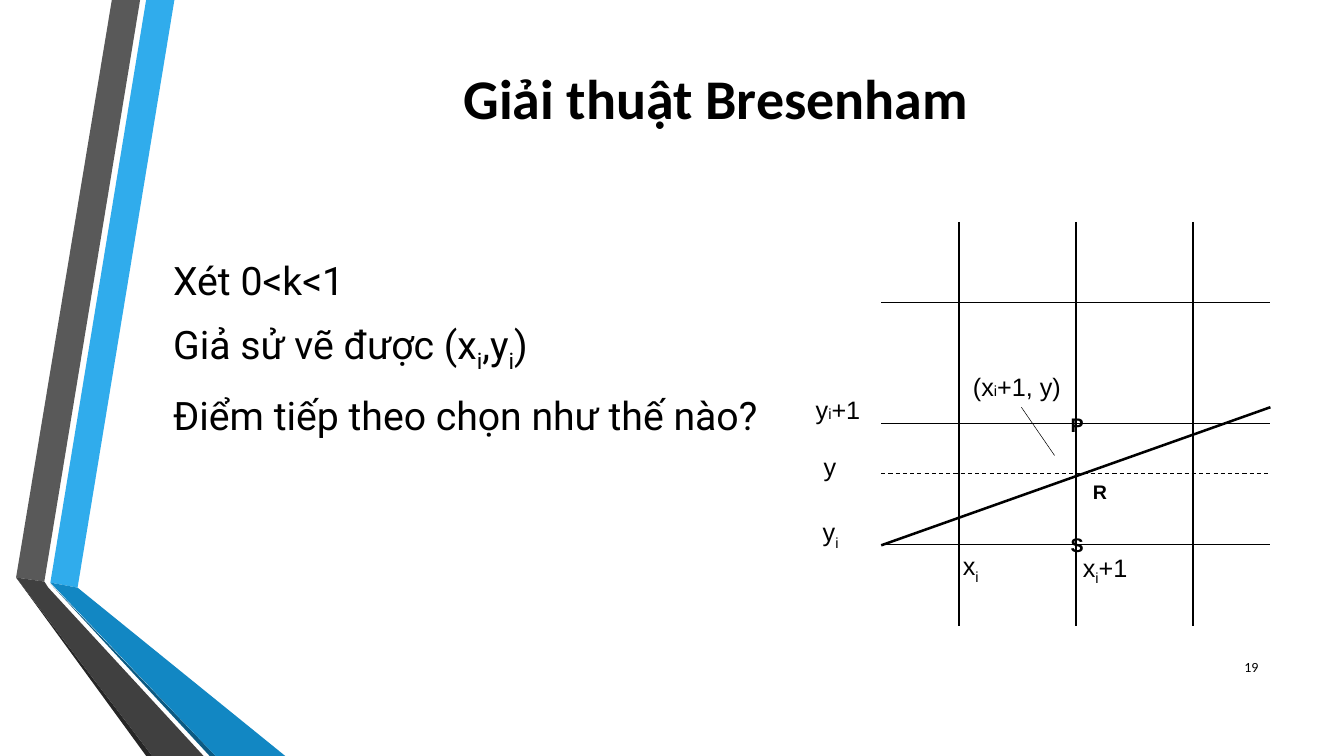
from pptx import Presentation
from pptx.dml.color import RGBColor
from pptx.enum.dml import MSO_LINE
from pptx.enum.shapes import MSO_CONNECTOR
from pptx.enum.text import MSO_ANCHOR, PP_ALIGN
from pptx.oxml.ns import qn
from pptx.util import Inches, Pt
from lxml import etree

BLACK = RGBColor(0x00, 0x00, 0x00)
SKY = RGBColor(0x30, 0xAC, 0xEC)
BLUE = RGBColor(0x12, 0x87, 0xC3)
NAVY = RGBColor(0x0C, 0x5A, 0x82)
GREY = RGBColor(0x59, 0x59, 0x59)
DARK_GREY = RGBColor(0x40, 0x40, 0x40)
CHARCOAL = RGBColor(0x26, 0x26, 0x26)

deck = Presentation()
deck.slide_width, deck.slide_height = Inches(13.33), Inches(7.5)
page = deck.slides.add_slide(deck.slide_layouts[6])


def add_text(left, top, width, height, paragraphs, font, size, bold=False,
             align=PP_ALIGN.LEFT, inset=None, line=None, anchor=MSO_ANCHOR.MIDDLE):
    """Each paragraph is a list of spans: (text, "sub" or a size or None)."""
    box = page.shapes.add_textbox(Inches(left), Inches(top), Inches(width), Inches(height))
    frame = box.text_frame
    frame.word_wrap = True
    frame.vertical_anchor = anchor
    if inset is not None:
        frame.margin_left = frame.margin_right = Inches(inset)
        frame.margin_top = frame.margin_bottom = Inches(inset)
    for index, spans in enumerate(paragraphs):
        para = frame.add_paragraph() if index else frame.paragraphs[0]
        para.alignment = align
        if line:
            para.line_spacing = Pt(line)
        para.font.name, para.font.size, para.font.bold = font, Pt(size), bold
        para.font.color.rgb = BLACK
        for text, style in spans:
            span = para.add_run()
            span.text = text
            if style == "sub":
                span._r.get_or_add_rPr().set("baseline", "-25000")
            elif style:
                span.font.size = Pt(style)
    return frame


def add_line(x1, y1, x2, y2, weight):
    line = page.shapes.add_connector(
        MSO_CONNECTOR.STRAIGHT, Inches(x1), Inches(y1), Inches(x2), Inches(y2))
    line.line.color.rgb = BLACK
    line.line.width = Pt(weight)
    etree.SubElement(line._element.spPr, qn("a:effectLst"))
    return line


# Folded ribbons on the left
ribbons = [
    (SKY, [(0.5, 5.78), (0.77, 5.83), (1.73, 0), (1.45, 0)]),
    (GREY, [(1.39, 0), (1.11, 0), (0.16, 5.73), (0.44, 5.77)]),
    (CHARCOAL, [(0.16, 5.73), (1.45, 7.5), (1.51, 7.5)]),
    (NAVY, [(0.5, 5.79), (2.08, 7.5), (2.14, 7.5)]),
    (BLUE, [(0.5, 5.78), (2.14, 7.5), (2.83, 7.5), (0.77, 5.83)]),
    (DARK_GREY, [(2.02, 7.5), (0.48, 5.83), (0.44, 5.77), (0.16, 5.73), (1.51, 7.5)]),
]
for color, points in ribbons:
    corners = [(Inches(x), Inches(y)) for x, y in points]
    builder = page.shapes.build_freeform(*corners[0])
    builder.add_line_segments(corners[1:])
    ribbon = builder.convert_to_shape()
    ribbon.shadow.inherit = False
    ribbon.fill.solid()
    ribbon.fill.fore_color.rgb = color
    ribbon.line.fill.background()

# Title, page number and body
add_text(1.62, 0, 10.96, 1.92, [[("Giải thuật Bresenham", None)]],
         "Calibri", 40, bold=True, align=PP_ALIGN.CENTER)
add_text(11.98, 6.42, 0.6, 0.4, [[("19", None)]], "Calibri", 10, align=PP_ALIGN.RIGHT)
body = add_text(1.62, 1.16, 9.93, 4.57, [
    [("Xét 0<k<1", None)],
    [("Giả sử vẽ được (x", None), ("i", "sub"), (",y", None), ("i", "sub"), (")", None)],
    [("Điểm tiếp theo chọn như thế nào?", None)],
], "Roboto", 28)
for para in body.paragraphs[1:]:
    para.space_before = Pt(12.5)

# Pixel grid
GRID_LEFT, GRID_RIGHT, GRID_TOP, GRID_BOTTOM = 8.74, 12.6, 2.2, 6.21
for step in range(3):
    x = 9.51 + 1.16 * step
    y = 3 + 1.2 * step
    add_line(x, GRID_TOP, x, GRID_BOTTOM, 1.08)
    add_line(GRID_LEFT, y, GRID_RIGHT, y, 1.08)

# Ideal line, its height at the next column, and the pointer to it
add_line(GRID_LEFT, 5.41, GRID_RIGHT, 4.04, 1.8)
add_line(GRID_LEFT, 4.7, GRID_RIGHT, 4.7, 0.75).line.dash_style = MSO_LINE.DASH
add_line(10.13, 4.04, 10.46, 4.52, 0.36)

# Coordinate labels
labels = [
    (9.65, 3.71, [("(x", None), ("i", 10.5), ("+1, y)", None)]),
    (8.09, 3.94, [("y", None), ("i", 10.5), ("+1", None)]),
    (8.17, 4.5, [("y", None)]),
    (8.16, 5.19, [("y", None), ("i", "sub")]),
    (9.55, 5.53, [("x", None), ("i", "sub")]),
    (10.74, 5.54, [("x", None), ("i", "sub"), ("+1", None)]),
]
for left, top, spans in labels:
    add_text(left, top, 0.97, 0.39, [spans], "Arial", 18,
             inset=0, line=19.8, anchor=MSO_ANCHOR.TOP)

# Candidate points
for name, left, top in [("P", 10.62, 4.15), ("S", 10.62, 5.34), ("R", 10.84, 4.81)]:
    add_text(left, top, 0.17, 0.18, [[(name, None)]], "Arial", 14, bold=True,
             inset=0, line=13.1, anchor=MSO_ANCHOR.TOP)

deck.save("out.pptx")
